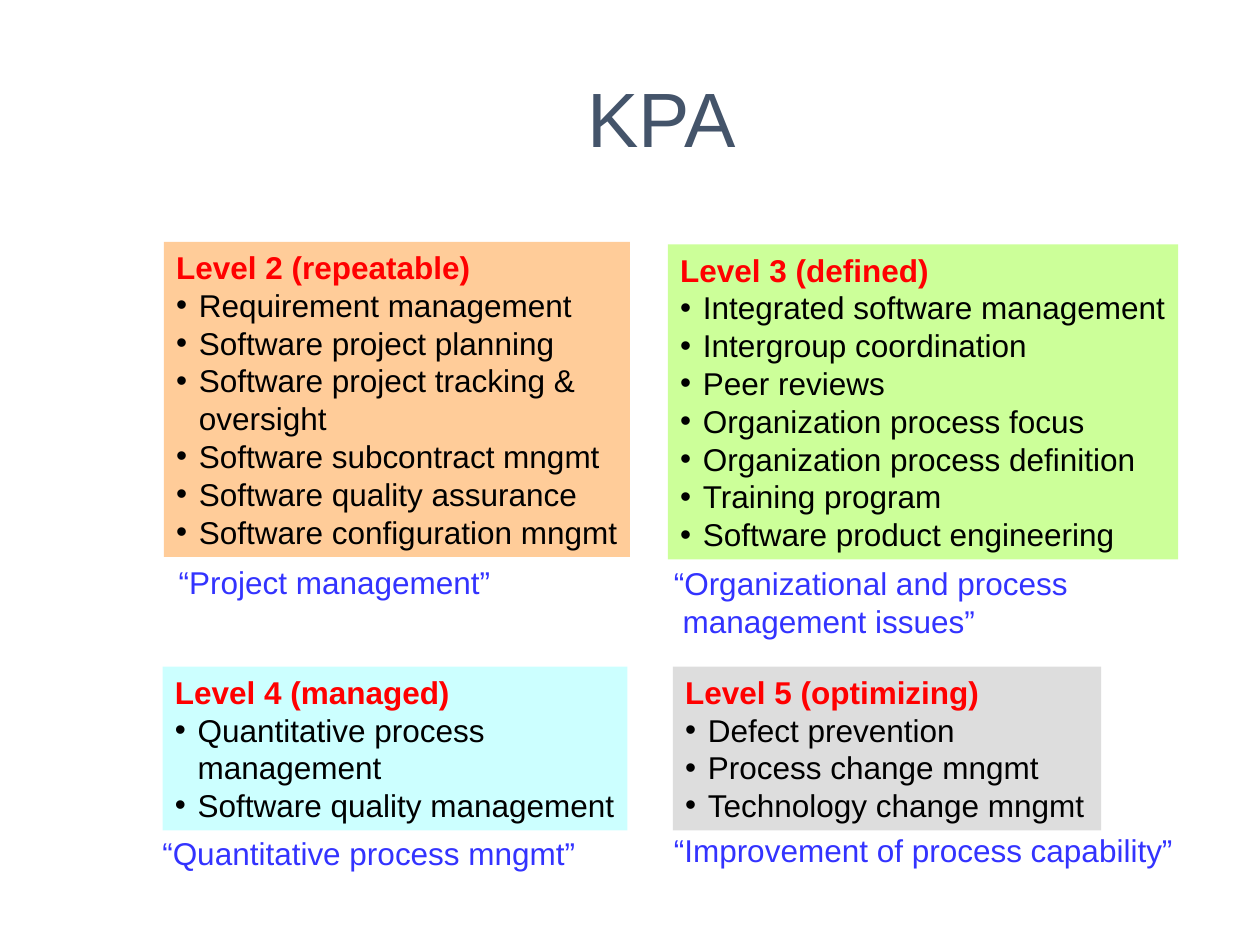
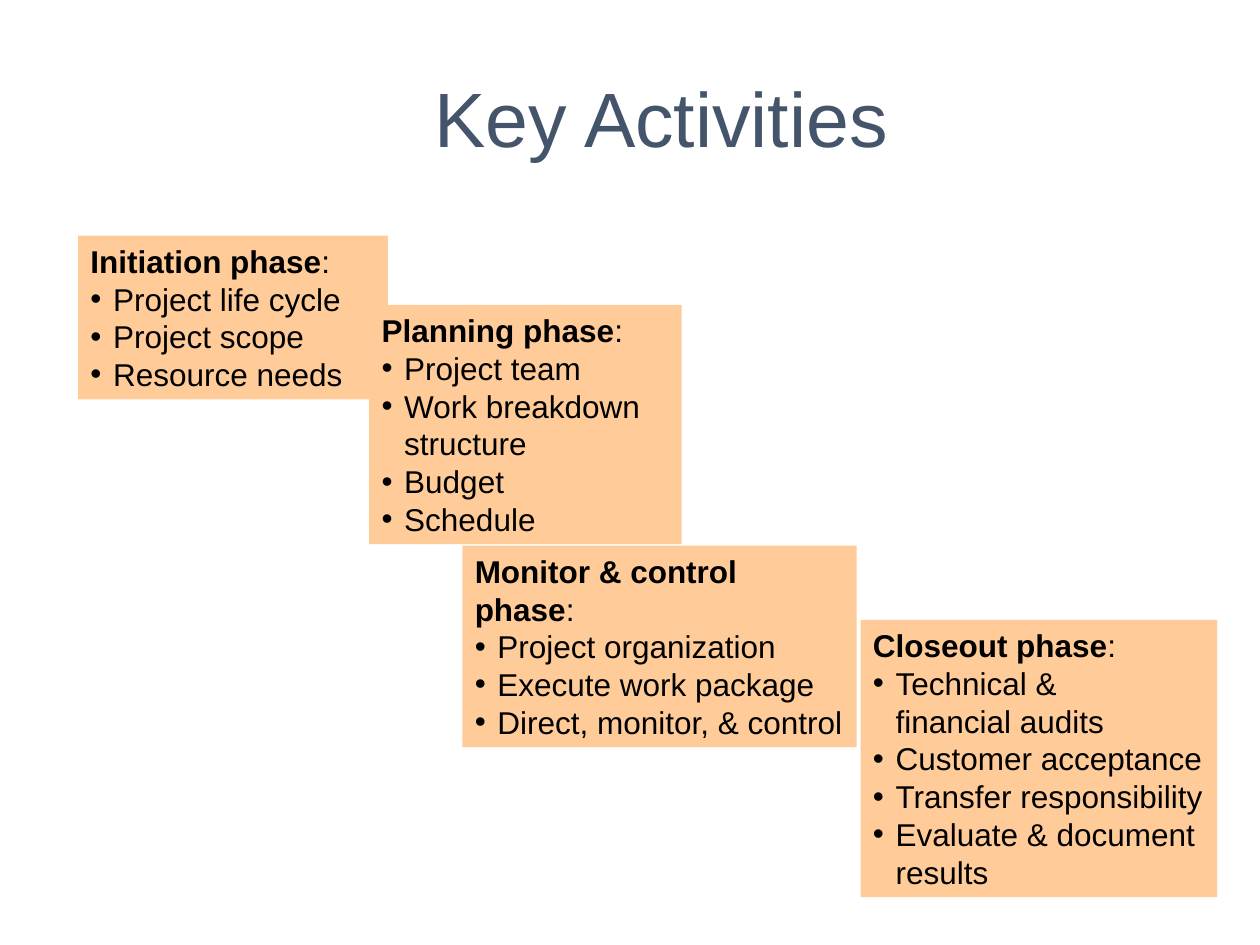
from lxml import etree
from pptx import Presentation
from pptx import util as u
from pptx.dml.color import RGBColor
from pptx.enum import shapes, text
from pptx.oxml.ns import qn

COLUMNS, ROWS = 100, 75
SLIDE_WIDTH, SLIDE_HEIGHT = u.Inches(10), u.Inches(7.5)
LINE_ROWS, PADDING_ROWS = 3, 1
HANGING = u.Inches(0.18)
FONT = "Arial"
SLATE, RED, BLUE, BLACK = "44546A", "FF0000", "3333FF", "000000"
PEACH, LIME, AQUA, GREY = "FFCC99", "CCFF99", "CCFFFF", "DDDDDD"

LEVELS = [
    (13, 19.2, 37, PEACH, "Level 2 (repeatable)", [
        "Requirement management", "Software project planning",
        "Software project tracking &\noversight", "Software subcontract mngmt",
        "Software quality assurance", "Software configuration mngmt"]),
    (53, 19.4, 40.5, LIME, "Level 3 (defined)", [
        "Integrated software management", "Intergroup coordination",
        "Peer reviews", "Organization process focus",
        "Organization process definition", "Training program",
        "Software product engineering"]),
    (12.9, 52.9, 36.9, AQUA, "Level 4 (managed)", [
        "Quantitative process\nmanagement", "Software quality management"]),
    (53.4, 52.9, 34, GREY, "Level 5 (optimizing)", [
        "Defect prevention", "Process change mngmt", "Technology change mngmt"]),
]
THEMES = [
    (13.2, 44.2, 27, "“Project management”"),
    (52.5, 44.3, 34, "“Organizational and process\n management issues”"),
    (11.9, 65.7, 35, "“Quantitative process mngmt”"),
    (52.5, 65.5, 42, "“Improvement of process capability”"),
]
PHASES = [
    (6.2, 18.7, 24.6, "Initiation phase", [
        "Project life cycle", "Project scope", "Resource needs"]),
    (29.3, 24.2, 24.8, "Planning phase", [
        "Project team", "Work breakdown\nstructure", "Budget", "Schedule"]),
    (36.7, 43.3, 31.3, "Monitor & control\nphase", [
        "Project organization", "Execute work package",
        "Direct, monitor, & control"]),
    (68.3, 49.2, 28.3, "Closeout phase", [
        "Technical &\nfinancial audits", "Customer acceptance",
        "Transfer responsibility", "Evaluate & document\nresults"]),
]


def rgb(color):
    return RGBColor.from_string(color)


def across(columns):
    return round(SLIDE_WIDTH * columns / COLUMNS)


def down(rows):
    return round(SLIDE_HEIGHT * rows / ROWS)


def block_area(column, row, width, wording):
    lines = sum(part.count("\n") + 1 for part in wording)
    height = PADDING_ROWS + LINE_ROWS * lines
    return across(column), down(row), across(width), down(height)


def add_words(paragraph, words, color, size=18, bold=False):
    for index, line in enumerate(words.split("\n")):
        if index:
            paragraph.add_line_break()
        run = paragraph.add_run()
        run.text = line
        run.font.name = FONT
        run.font.size = u.Pt(size)
        run.font.bold = bold
        run.font.color.rgb = rgb(color)


def add_bullet(paragraph):
    properties = paragraph._p.get_or_add_pPr()
    properties.set("marL", str(HANGING))
    properties.set("indent", str(-HANGING))
    etree.SubElement(properties, qn("a:buFont"), typeface=FONT)
    etree.SubElement(properties, qn("a:buChar"), char="•")


def fit_frame(frame):
    frame.word_wrap = False
    frame.auto_size = text.MSO_AUTO_SIZE.SHAPE_TO_FIT_TEXT
    frame.vertical_anchor = text.MSO_ANCHOR.TOP


def add_card(slide, column, row, width, fill, heading, items, color, ending=""):
    area = block_area(column, row, width, [heading, *items])
    card = slide.shapes.add_shape(shapes.MSO_SHAPE.RECTANGLE, *area)
    card.shadow.inherit = False
    card.fill.solid()
    card.fill.fore_color.rgb = rgb(fill)
    card.line.fill.background()
    frame = card.text_frame
    fit_frame(frame)
    heading_line = frame.paragraphs[0]
    heading_line.alignment = text.PP_ALIGN.LEFT
    add_words(heading_line, heading, color, bold=True)
    if ending:
        add_words(heading_line, ending, color)
    for item in items:
        entry = frame.add_paragraph()
        entry.alignment = text.PP_ALIGN.LEFT
        add_bullet(entry)
        add_words(entry, item, BLACK)


def add_theme(slide, column, row, width, words):
    theme = slide.shapes.add_textbox(*block_area(column, row, width, [words]))
    fit_frame(theme.text_frame)
    add_words(theme.text_frame.paragraphs[0], words, BLUE)


def place_title(layout):
    title = layout.placeholders[0]
    title.left, title.top = across(10), down(3)
    title.width, title.height = across(85), down(12.5)


def add_titled_slide(deck, layout, words):
    slide = deck.slides.add_slide(layout)
    frame = slide.shapes.title.text_frame
    frame.vertical_anchor = text.MSO_ANCHOR.MIDDLE
    frame.paragraphs[0].alignment = text.PP_ALIGN.CENTER
    add_words(frame.paragraphs[0], words, SLATE, size=44)
    return slide


def main():
    deck = Presentation()
    deck.slide_width, deck.slide_height = SLIDE_WIDTH, SLIDE_HEIGHT
    layout = deck.slide_layouts.get_by_name("Title Only")
    place_title(layout)

    process_areas = add_titled_slide(deck, layout, "KPA")
    for level in LEVELS:
        add_card(process_areas, *level, RED)
    for theme in THEMES:
        add_theme(process_areas, *theme)

    activities = add_titled_slide(deck, layout, "Key Activities")
    for column, row, width, phase, tasks in PHASES:
        add_card(activities, column, row, width, PEACH, phase, tasks, BLACK, ":")

    deck.save("out.pptx")


if __name__ == "__main__":
    main()
